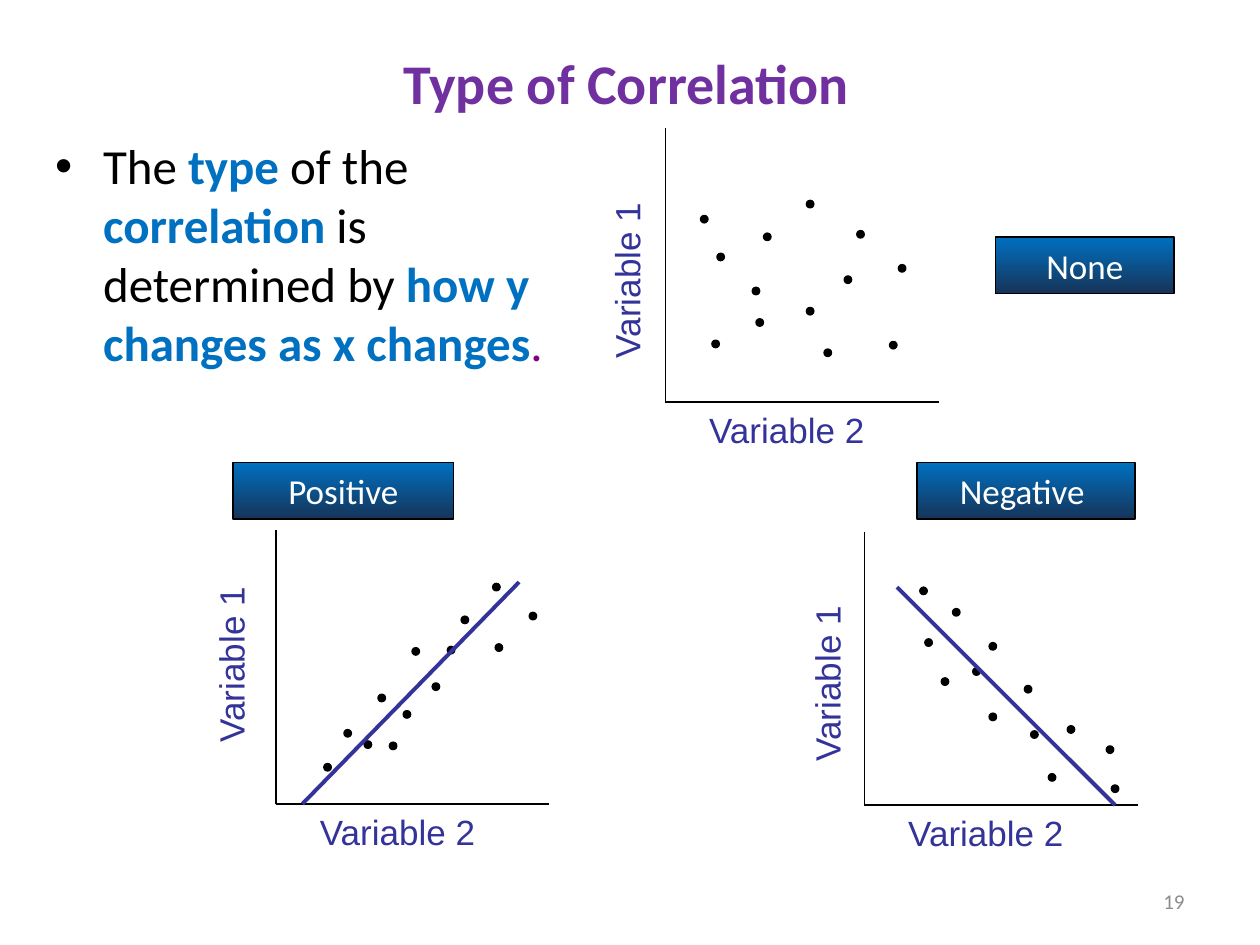
from pptx import Presentation
from pptx.dml.color import RGBColor
from pptx.enum.shapes import MSO_CONNECTOR as Link, MSO_SHAPE as Form
from pptx.enum.text import MSO_ANCHOR as Anchor, PP_ALIGN as Align
from pptx.oxml.ns import qn
from pptx.util import Inches, Pt
from lxml.etree import SubElement

BLACK, WHITE, GRAY = "000000", "FFFFFF", "8C8C8C"
BLUE, NAVY, INDIGO = "0070C0", "163459", "333399"
VIOLET, PLUM = "7030A0", "800080"
COLS, ROWS = 100, 75


def tint(code):
    """Turn a hex string into a colour."""
    return RGBColor.from_string(code)


def write(para, text, size=20, color=BLACK, bold=False, font="Calibri"):
    """Add a formatted run to a paragraph."""
    run = para.add_run()
    run.text = text
    run.font.name, run.font.size, run.font.bold = font, Pt(size), bold
    run.font.color.rgb = tint(color)


class Board:
    """Draws styled elements on a slide split into 100 columns and 75 rows."""

    def __init__(self, deck):
        """Open a blank slide and work out the grid cell."""
        self.slide = deck.slides.add_slide(deck.slide_layouts[6])
        self.shapes = self.slide.shapes
        self.col, self.row = deck.slide_width / COLS, deck.slide_height / ROWS

    def place(self, x, y, w, h):
        """Turn grid units into lengths."""
        return [round(n * u) for n, u in zip((x, y, w, h), (self.col, self.row) * 2)]

    def line(self, start, end, color=BLACK, width=0.75):
        """Draw a straight line between two grid points."""
        item = self.shapes.add_connector(Link.STRAIGHT, *self.place(*start, *end))
        item.line.color.rgb, item.line.width = tint(color), Pt(width)
        SubElement(item._element.spPr, qn("a:effectLst"))

    def shape(self, form, area, width):
        """Add a black-edged preset shape."""
        item = self.shapes.add_shape(form, *self.place(*area))
        item.shadow.inherit = False
        item.line.color.rgb, item.line.width = tint(BLACK), Pt(width)
        return item

    def dot(self, x, y, size=0.6):
        """Draw a data point centred on a grid point."""
        item = self.shape(Form.OVAL, (x - size / 2, y - size / 2, size, size), 0.75)
        item.fill.solid()
        item.fill.fore_color.rgb = tint(BLACK)

    def text(self, area, runs, align=Align.LEFT, anchor=Anchor.TOP, turn=0):
        """Add a text box from (text, format) pairs and return its paragraph."""
        box = self.shapes.add_textbox(*self.place(*area))
        box.rotation = turn
        frame = box.text_frame
        frame.word_wrap, frame.vertical_anchor = True, anchor
        para = frame.paragraphs[0]
        para.alignment = align
        for words, style in runs:
            write(para, words, **style)
        return para

    def bullet(self, area, runs):
        """Add a bulleted paragraph with a hanging indent."""
        props = self.text(area, runs)._p.get_or_add_pPr()
        props.set("marL", str(Inches(0.38)))
        props.set("indent", str(-Inches(0.38)))
        SubElement(props, qn("a:buFont")).set("typeface", "Arial")
        SubElement(props, qn("a:buChar")).set("char", "•")

    def badge(self, words, x, y, w):
        """Draw a gradient label."""
        item = self.shape(Form.RECTANGLE, (x, y, w, 4.5), 1)
        item.fill.gradient()
        item.fill.gradient_angle = 270
        for stop, code, spot in zip(item.fill.gradient_stops, (BLUE, NAVY), (0, 1)):
            stop.color.rgb, stop.position = tint(code), spot
        para = item.text_frame.paragraphs[0]
        para.alignment = Align.CENTER
        write(para, words, color=WHITE)

    def plot(self, x, y, dots, side, span=21.7):
        """Group axes, axis names and dots measured from the origin (x, y)."""
        self.shapes = self.slide.shapes.add_group_shape().shapes
        self.line((x, y - span), (x, y))
        self.line((x, y), (x + span, y))
        look = dict(color=INDIGO, font="Arial")
        dx, dy = side
        self.text((x - dx - 9.6, y - dy - 2.15, 19.2, 4.3), [("Variable 1", look)], turn=270)
        self.text((x + 2.5, y, 19.2, 4.3), [("Variable 2", look)])
        for right, up in dots:
            self.dot(x + right, y - up)
        self.shapes = self.slide.shapes


RISE = [(4.1, 2.9), (7.3, 4.7), (5.7, 5.6), (9.3, 4.6), (10.4, 7.1), (8.4, 8.4), (12.7, 9.3),
        (17.7, 12.4), (13.9, 12.2), (15, 14.6), (20.4, 14.9), (17.5, 17.2), (11.1, 12.1)]
LOOSE = [(11.5, 15.7), (3.1, 14.5), (7.2, 8.8), (4.4, 11.5), (7.5, 6.3), (8.1, 13.1), (4, 4.6),
         (12.9, 3.9), (11.5, 7.2), (14.5, 9.7), (18.1, 4.5), (18.8, 10.6), (15.5, 13.3)]
FALL = [(4.7, 17), (5.1, 12.9), (7.3, 15.3), (6.4, 9.8), (8.9, 10.6), (10.2, 12.6), (10.2, 7),
        (14.9, 2.2), (13.5, 5.6), (16.4, 6), (19.9, 1.3), (19.5, 4.4), (13, 9.2)]


def main():
    """Build and save the slide."""
    deck = Presentation()
    deck.slide_width, deck.slide_height = Inches(10), Inches(7.5)
    board = Board(deck)
    board.plot(21.9, 63.8, RISE, (3.6, 13.5))
    board.plot(52.8, 31.9, LOOSE, (3.1, 12.1))
    board.plot(68.6, 63.9, FALL, (3, 12.1))
    board.badge("Positive", 18.5, 36.7, 17.5)
    board.badge("Negative ", 72.8, 36.7, 17.3)
    board.badge("None", 79, 18.8, 14.2)
    board.line((24, 63.8), (41.2, 46.2), INDIGO, 2.25)
    board.line((71.2, 46.6), (88.5, 63.9), INDIGO, 2.25)
    head = dict(size=32, color=VIOLET, bold=True)
    board.text((4.7, 0.3, 90, 12.5), [("Type of Correlation", head)], Align.CENTER, Anchor.MIDDLE)
    board.text((71.7, 69.5, 23.3, 4), [("19", dict(size=12, color=GRAY))], Align.RIGHT, Anchor.MIDDLE)
    plain, key = dict(size=28), dict(size=28, color=BLUE, bold=True)
    board.bullet((3.4, 10.3, 41, 11.4), [
        ("The ", plain), ("type ", key), ("of the ", plain), ("correlation ", key),
        ("is determined by ", plain), ("how y changes as x changes", key),
        (".", dict(size=28, color=PLUM))])
    deck.save("out.pptx")


if __name__ == "__main__":
    main()
